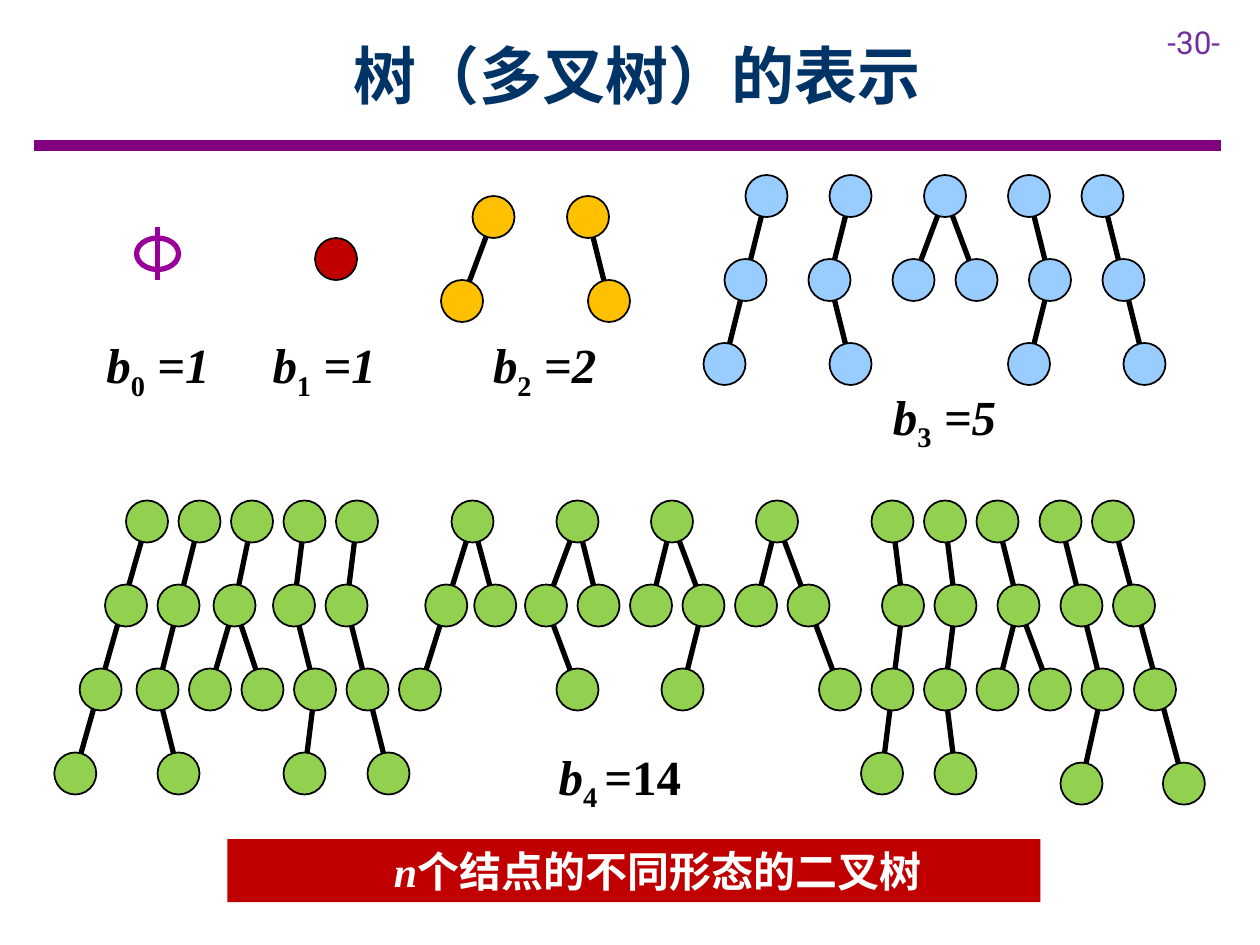
"""Build the slide that counts the distinct binary trees with n nodes."""
from lxml import etree
from pptx import Presentation
from pptx.dml.color import RGBColor
from pptx.enum import shapes, text
from pptx.oxml import ns
from pptx.util import Pt

BLACK = RGBColor(0x00, 0x00, 0x00)
WHITE = RGBColor(0xFF, 0xFF, 0xFF)
NAVY = RGBColor(0x00, 0x33, 0x66)
PURPLE = RGBColor(0x80, 0x00, 0x80)
VIOLET = RGBColor(0x70, 0x30, 0xA0)
MAGENTA = RGBColor(0x99, 0x00, 0x99)
RED = RGBColor(0xC0, 0x00, 0x00)
ORANGE = RGBColor(0xFF, 0xC0, 0x00)
BLUE = RGBColor(0x99, 0xCC, 0xFF)
GREEN = RGBColor(0x92, 0xD0, 0x50)

SERIF = "Times New Roman"
CJK = "Noto Sans CJK SC"
NODE = 24
LEVEL = 48

TWO_NODES = [
    ([(270, 0), (252, 1)], "01"),
    ([(324, 0), (336, 1)], "01"),
]
THREE_NODES = [
    ([(426, 0), (414, 1), (402, 2)], "02"),
    ([(474, 0), (462, 1), (474, 2)], "01 12"),
    ([(528, 0), (510, 1), (546, 1)], "01 02"),
    ([(576, 0), (588, 1), (576, 2)], "01 12"),
    ([(618, 0), (630, 1), (642, 2)], "02"),
]
FOUR_NODES = [
    ([(72, 0), (60, 1), (45.5, 2), (31, 3)], "03"),
    ([(102, 0), (90, 1), (78, 2), (90, 3)], "02 23"),
    ([(132, 0), (122, 1), (108, 2), (138, 2)], "01 12 13"),
    ([(162, 0), (156, 1), (168, 2), (162, 3)], "01 12 23"),
    ([(192, 0), (186, 1), (198, 2), (210, 3)], "01 13"),
    ([(258, 0), (243, 1), (271, 1), (228, 2)], "03 02"),
    ([(318, 0), (300, 1), (330, 1), (318, 2)], "01 02 13"),
    ([(372, 0), (360, 1), (390, 1), (378, 2)], "01 02 23"),
    ([(432, 0), (420, 1), (450, 1), (468, 2)], "01 03"),
    ([(498, 0), (504, 1), (498, 2), (492, 3)], "01 13"),
    ([(528, 0), (534, 1), (528, 2), (534, 3)], "01 12 23"),
    ([(558, 0), (570, 1), (558, 2), (588, 2)], "01 12 13"),
    ([(594, 0), (606, 1), (618, 2), (606, 3.12)], "02 23"),
    ([(624, 0), (636, 1), (648, 2), (664.5, 3.12)], "03"),
]


class TreeSlide:
    def __init__(self, slide):
        self.shapes = slide.shapes

    def line(self, start, end, color=BLACK, width=3):
        ends = [Pt(v) for v in (*start, *end)]
        limb = self.shapes.add_connector(shapes.MSO_CONNECTOR.STRAIGHT, *ends)
        limb.line.color.rgb = color
        limb.line.width = Pt(width)
        etree.SubElement(limb._element.spPr, ns.qn("a:effectLst"))

    def shape(self, kind, box, fill=None, outline=None, width=1):
        part = self.shapes.add_shape(kind, *map(Pt, box))
        part.shadow.inherit = False
        if fill is None:
            part.fill.background()
        else:
            part.fill.solid()
            part.fill.fore_color.rgb = fill
        if outline is None:
            part.line.fill.background()
        else:
            part.line.color.rgb = outline
            part.line.width = Pt(width)
        return part

    def node(self, left, top, fill):
        self.shape(shapes.MSO_SHAPE.OVAL, (left, top, NODE, NODE), fill, BLACK)

    def trees(self, forest, top, fill):
        for nodes, limbs in forest:
            corners = [(left, top + level * LEVEL) for left, level in nodes]
            centres = [(x + NODE / 2, y + NODE / 2) for x, y in corners]
            for first, last in limbs.split():
                self.line(centres[int(first)], centres[int(last)])
            for x, y in corners:
                self.node(x, y, fill)

    def fill_text(self, frame, runs, size, color, font, bold=True, align=text.PP_ALIGN.CENTER):
        frame.vertical_anchor = text.MSO_ANCHOR.MIDDLE
        paragraph = frame.paragraphs[0]
        paragraph.alignment = align
        paragraph.font.size = Pt(size)
        paragraph.font.bold = bold
        paragraph.font.color.rgb = color
        paragraph.font.name = font
        for words, italic, baseline in runs:
            run = paragraph.add_run()
            run.text = words
            run.font.italic = italic
            if baseline:
                run._r.get_or_add_rPr().set("baseline", str(baseline))
        return paragraph

    def east_asian(self, run):
        run.font.name = CJK
        etree.SubElement(run._r.get_or_add_rPr(), ns.qn("a:ea")).set("typeface", CJK)

    def textbox(self, box, runs, size, color, font, wrap=True, **style):
        frame = self.shapes.add_textbox(*map(Pt, box)).text_frame
        frame.word_wrap = wrap
        return self.fill_text(frame, runs, size, color, font, **style)

    def count(self, box, index, value, italic=True):
        runs = [("b", True, None), (index, False, -25000), (value, italic, None)]
        self.textbox(box, runs, 28, BLACK, SERIF, wrap=False)

    def banner(self, box, symbol, words):
        bar = self.shape(shapes.MSO_SHAPE.RECTANGLE, box, RED)
        runs = [(symbol, True, None), (words, False, None)]
        paragraph = self.fill_text(bar.text_frame, runs, 24, WHITE, SERIF)
        paragraph._p.get_or_add_pPr().set("marL", str(Pt(27)))
        self.east_asian(paragraph.runs[1])


def main():
    deck = Presentation()
    deck.slide_width, deck.slide_height = Pt(720), Pt(540)
    page = TreeSlide(deck.slides.add_slide(deck.slide_layouts[6]))

    page.line((19.5, 83), (697.5, 83), PURPLE, 6)
    page.textbox((660, 9.5, 60, 29), [("-30-", False, None)], 18, VIOLET, "Roboto",
                 bold=False, align=text.PP_ALIGN.LEFT)
    title = page.textbox((65, 6.5, 598, 72), [("树（多叉树）的表示", False, None)], 36, NAVY, CJK)
    page.east_asian(title.runs[0])

    page.shape(shapes.MSO_SHAPE.OVAL, (78, 136, 24, 18), None, MAGENTA, 3)
    page.line((90, 130), (90, 160), MAGENTA)
    page.node(180, 136, RED)
    page.trees(TWO_NODES, 112, ORANGE)
    page.trees(THREE_NODES, 100, BLUE)
    page.trees(FOUR_NODES, 286, GREEN)

    for left, top, index, value in [(52.5, 190, "0", " =1"), (147.5, 190, "1", " =1"),
                                    (273.5, 190, "2", " =2"), (502, 219.5, "3", " =5")]:
        page.count((left, top, 75.5, 41), index, value)
    page.count((311, 425, 86.5, 41), "4 ", "=14", italic=False)
    page.banner((130, 479.5, 464.5, 36), "n", "个结点的不同形态的二叉树")
    deck.save("out.pptx")


if __name__ == "__main__":
    main()
